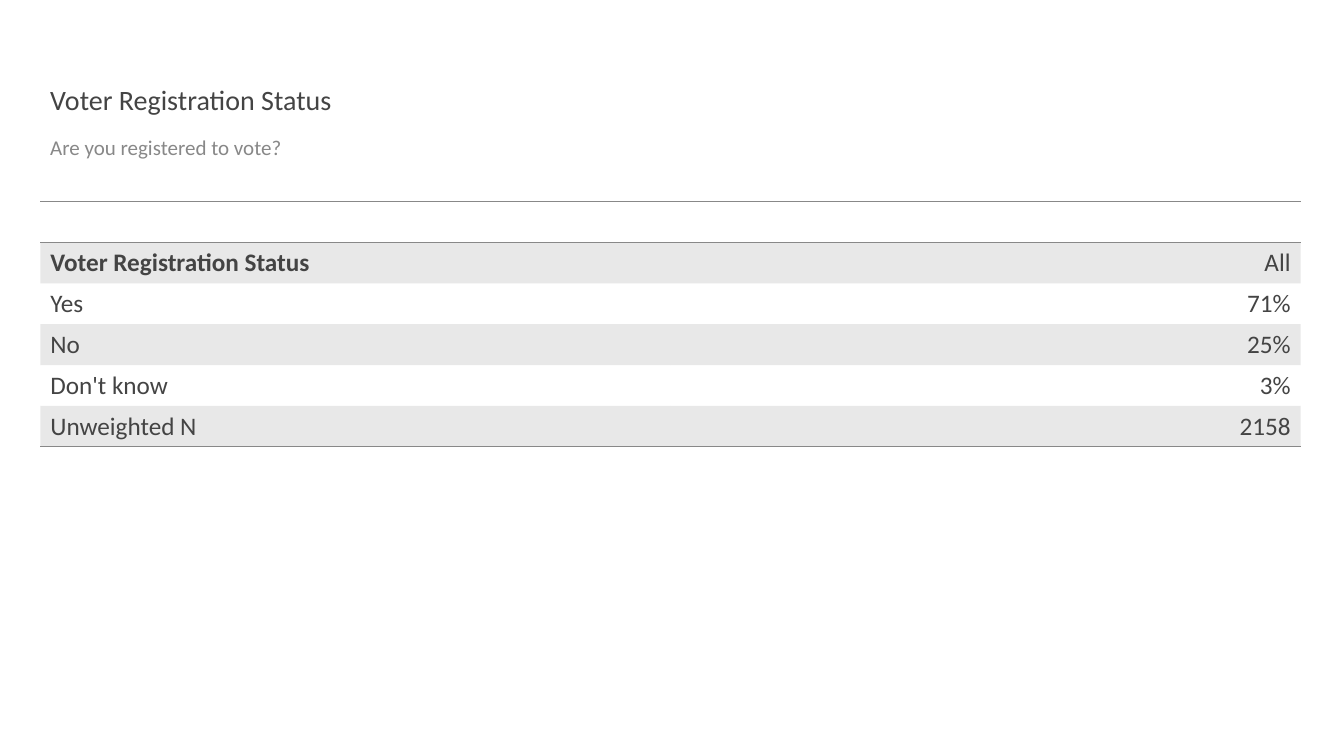
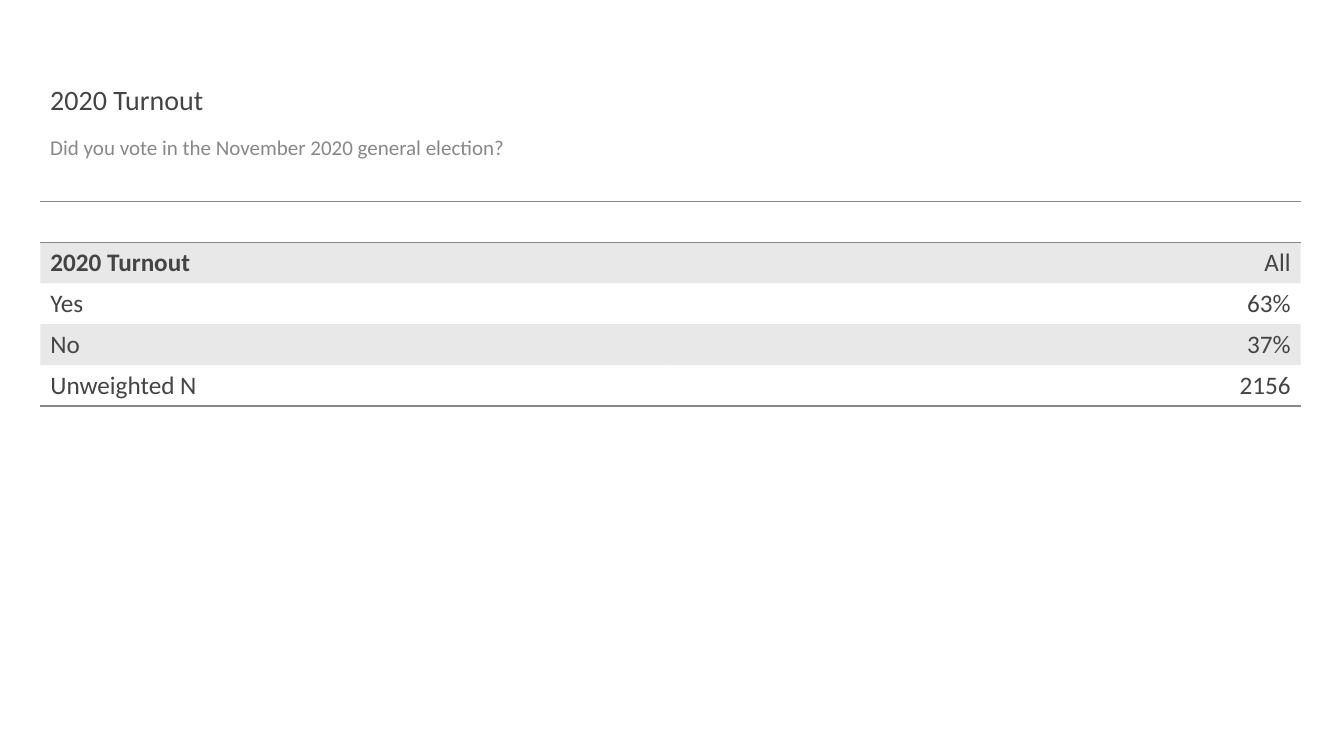
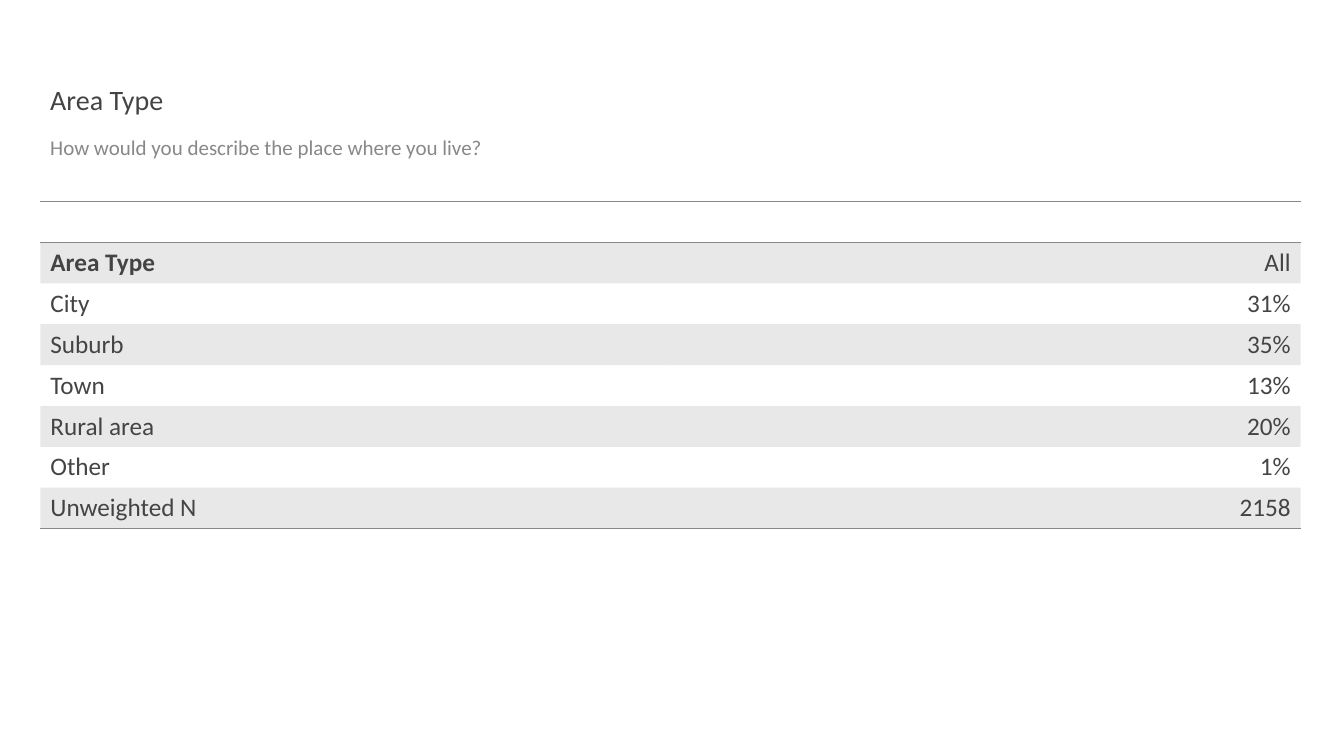
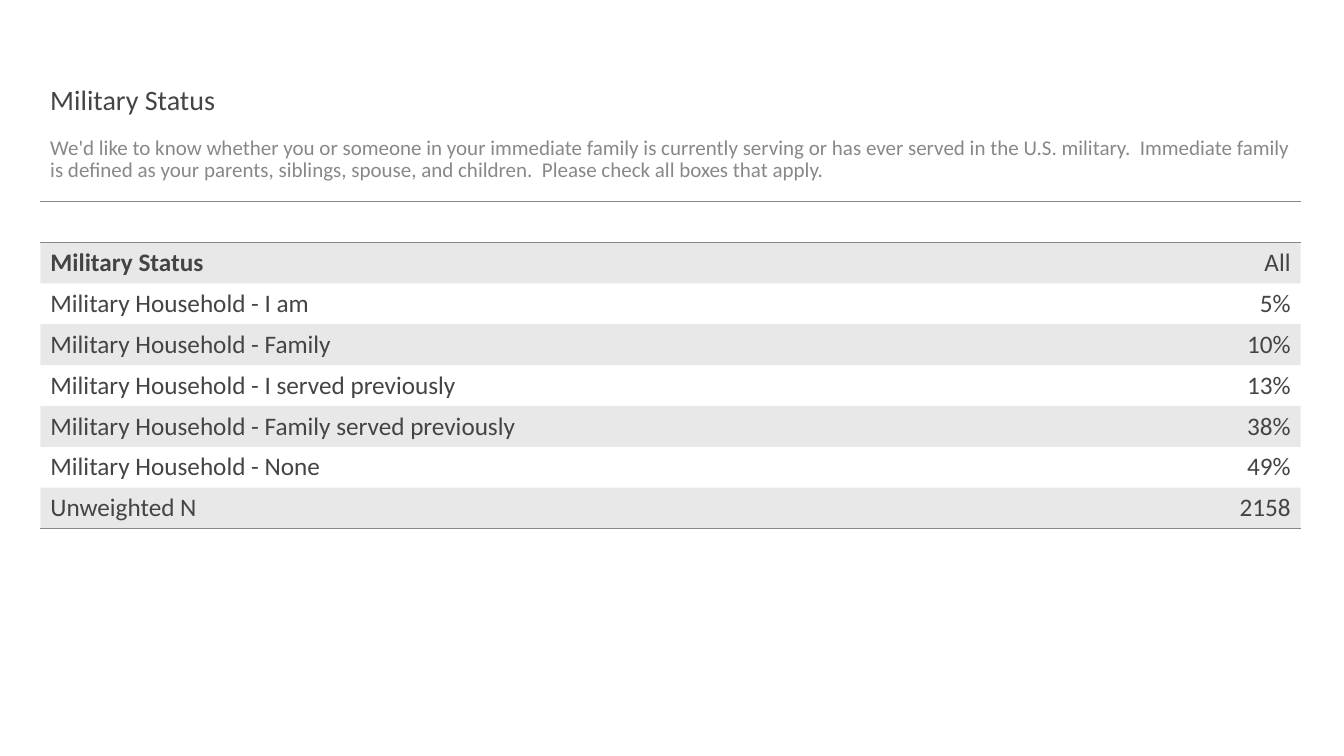
from lxml import etree
from pptx import Presentation
from pptx.dml.color import RGBColor
from pptx.enum.text import MSO_ANCHOR, PP_ALIGN
from pptx.oxml.ns import qn
from pptx.util import Inches, Pt

POLLS = [
    ("Voter Registration Status", "Are you registered to vote?",
     [("Yes", "71%"), ("No", "25%"), ("Don't know", "3%"),
      ("Unweighted N", "2158")]),
    ("2020 Turnout", "Did you vote in the November 2020 general election?",
     [("Yes", "63%"), ("No", "37%"), ("Unweighted N", "2156")]),
    ("Area Type", "How would you describe the place where you live?",
     [("City", "31%"), ("Suburb", "35%"), ("Town", "13%"),
      ("Rural area", "20%"), ("Other", "1%"), ("Unweighted N", "2158")]),
    ("Military Status",
     "We'd like to know whether you or someone in your immediate family is "
     "currently serving or has ever served in the U.S. military.  Immediate "
     "family is defined as your parents, siblings, spouse, and children.  "
     "Please check all boxes that apply.",
     [("Military Household - I am", "5%"),
      ("Military Household - Family", "10%"),
      ("Military Household - I served previously", "13%"),
      ("Military Household - Family served previously", "38%"),
      ("Military Household - None", "49%"),
      ("Unweighted N", "2158")]),
]

DARK = RGBColor(0x44, 0x44, 0x44)
GREY = RGBColor(0x88, 0x88, 0x88)
FONT = "Calibri"
TOP, MIDDLE, BOTTOM = MSO_ANCHOR.TOP, MSO_ANCHOR.MIDDLE, MSO_ANCHOR.BOTTOM
LEFT, RIGHT = PP_ALIGN.LEFT, PP_ALIGN.RIGHT
PLAIN = "{2D5ABB26-0587-4C30-8999-92F81FD0307C}"
EDGE, WIDTH = Inches(0.4), Inches(12.5)
ROW = Inches(2.92) * 10 // 72


def write(frame, text, size=18, color=DARK, bold=False, align=LEFT, space=1.0):
    para = frame.paragraphs[0]
    para.alignment = align
    para.line_spacing = space
    run = para.add_run()
    run.text = text
    font = run.font
    font.name, font.size, font.bold = FONT, Pt(size), bold
    font.color.rgb = color


def add_text(slide, text, top, height, anchor, **style):
    frame = slide.shapes.add_textbox(EDGE, top, WIDTH, height).text_frame
    frame.word_wrap = True
    frame.vertical_anchor = anchor
    write(frame, text, space=0.9, **style)


def rule(cell, side):
    line = etree.SubElement(cell._tc.get_or_add_tcPr(), qn("a:" + side),
                            w=str(Pt(1)))
    fill = etree.SubElement(line, qn("a:solidFill"))
    etree.SubElement(fill, qn("a:srgbClr"), val=str(GREY))


def shade(cell):
    cell.fill.solid()
    cell.fill.fore_color.rgb = DARK
    color = cell._tc.tcPr.find(qn("a:solidFill")).find(qn("a:srgbClr"))
    etree.SubElement(color, qn("a:alpha"), val="12000")


def add_grid(slide, title, rows):
    lines = [None, (title, "All"), *rows]
    last = len(lines) - 1
    frame = slide.shapes.add_table(len(lines), 2, EDGE, Inches(2), WIDTH,
                                   ROW * len(lines))
    grid = frame.table
    grid.first_row = grid.horz_banding = False
    grid._tbl.tblPr.find(qn("a:tableStyleId")).text = PLAIN
    for i, line in enumerate(lines):
        grid.rows[i].height = ROW
        sides = {0: ("lnT", "lnB"), last: ("lnB",)}.get(i, ())
        for j, cell in enumerate(grid.rows[i].cells):
            for side in sides:
                rule(cell, side)
            if i % 2:
                shade(cell)
            else:
                cell.fill.background()
            if line:
                cell.vertical_anchor = BOTTOM if i == 1 else MIDDLE
                write(cell.text_frame, line[j], bold=i == 1 and j == 0,
                      align=RIGHT if j else LEFT)


def main():
    deck = Presentation()
    deck.slide_width, deck.slide_height = Inches(13.33), Inches(7.5)
    for title, query, rows in POLLS:
        slide = deck.slides.add_slide(deck.slide_layouts[6])
        add_text(slide, title, Inches(0.4), Inches(0.81), BOTTOM, size=20)
        add_text(slide, query, Inches(1.31), Inches(0.51), TOP, size=15,
                 color=GREY)
        add_grid(slide, title, rows)
    deck.save("out.pptx")


if __name__ == "__main__":
    main()
